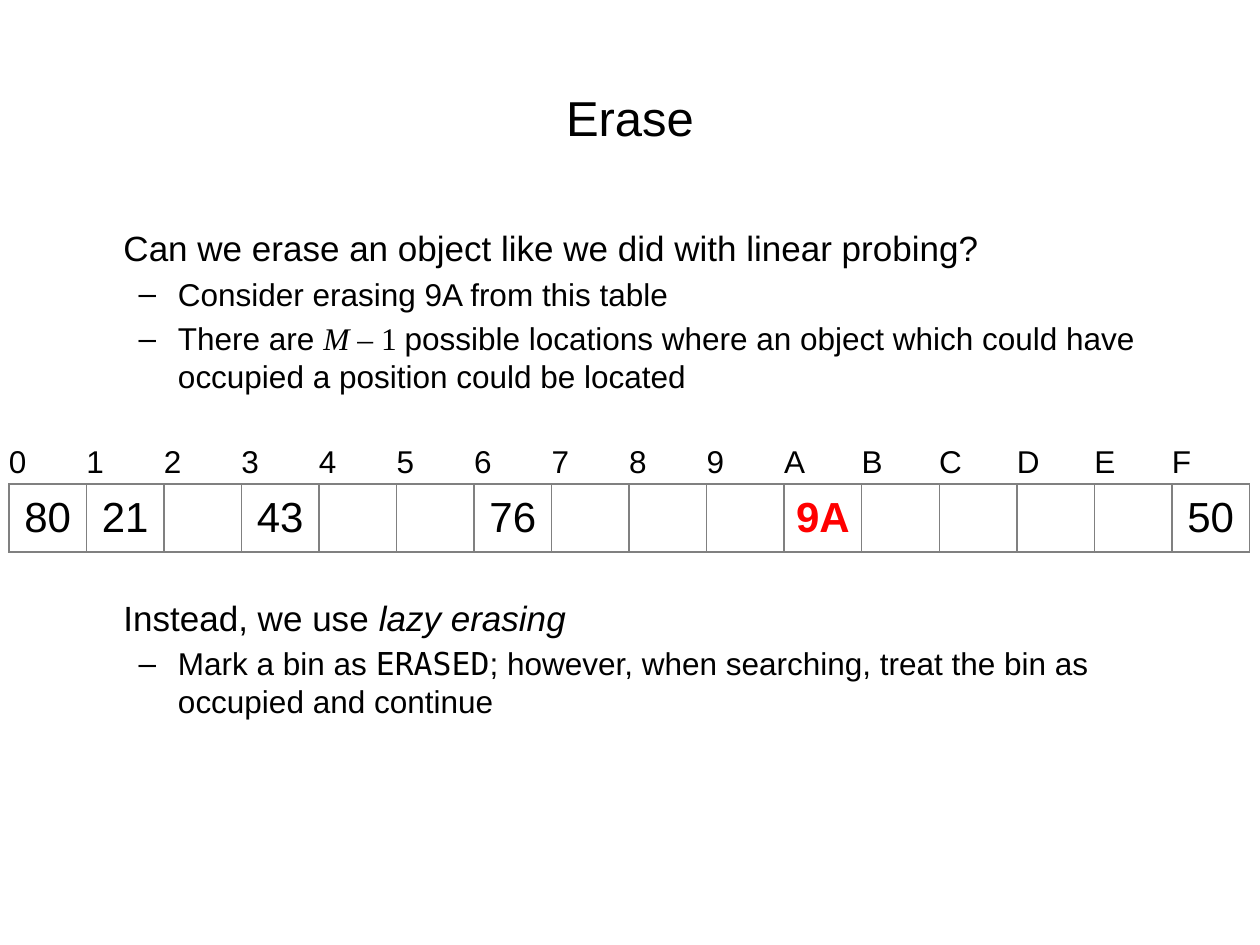
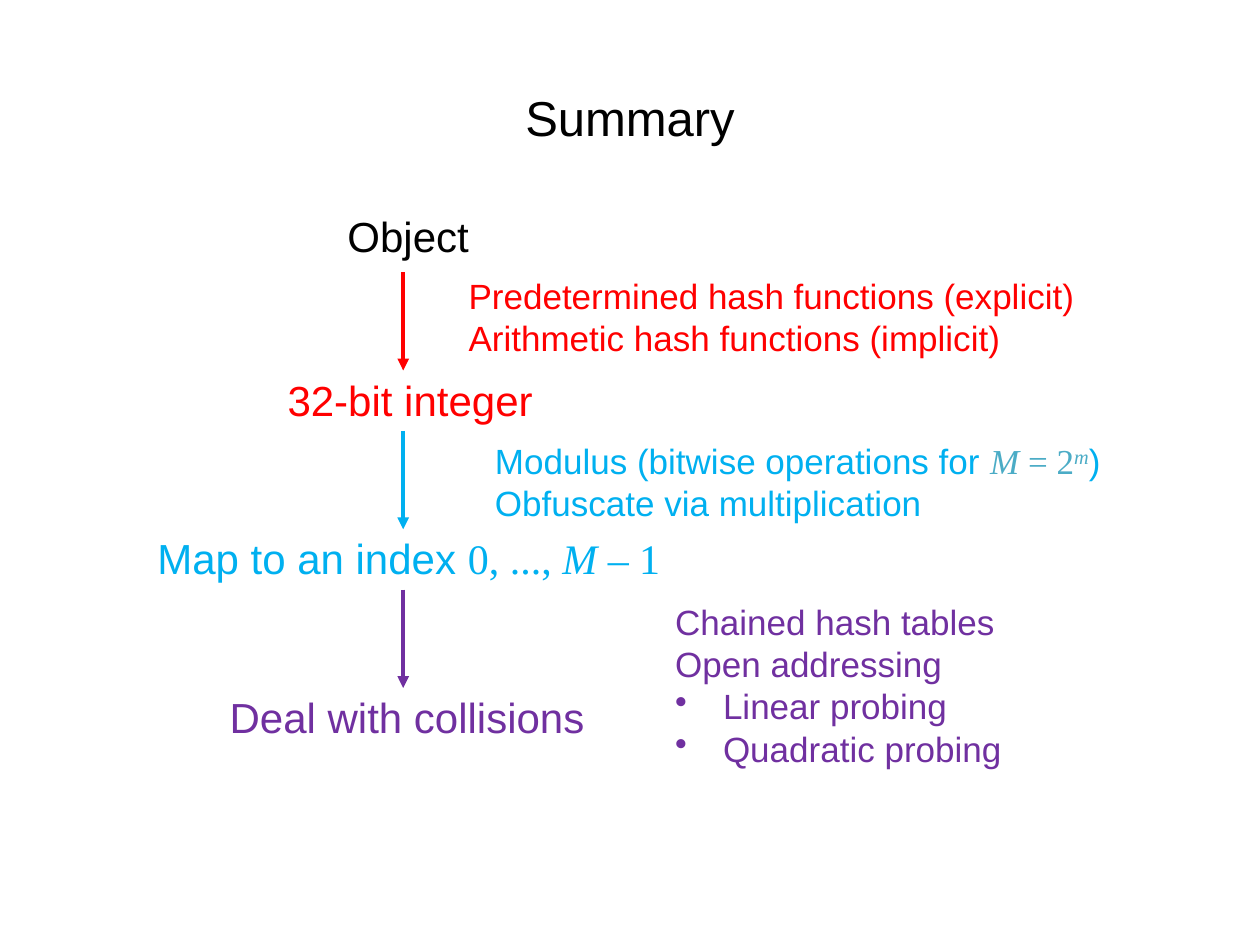
"""Build two slides on hash tables: lazy erasing and a summary."""
import pptx
import pptx.dml.color
import pptx.enum.shapes
import pptx.enum.text
import pptx.oxml
import pptx.oxml.ns
import pptx.util

Inches, Pt = pptx.util.Inches, pptx.util.Pt
Color = pptx.dml.color.RGBColor
Align = pptx.enum.text.PP_ALIGN
Anchor = pptx.enum.text.MSO_ANCHOR
Fit = pptx.enum.text.MSO_AUTO_SIZE
qn = pptx.oxml.ns.qn
NS = pptx.oxml.ns.nsdecls("a")

BLACK = Color(0, 0, 0)
RED = Color(0xFF, 0, 0)
BLUE = Color(0, 0xB0, 0xF0)
TEAL = Color(0x4B, 0xAC, 0xC6)
PURPLE = Color(0x70, 0x30, 0xA0)
GREY = "808080"

ARIAL = {"name": "Arial", "bold": False, "italic": False}
MATH = {"name": "Times New Roman"}
VAR = {**MATH, "italic": True}
CODE = {"name": "DejaVu Sans Mono"}
NO_STYLE = "{2D5ABB26-0587-4C30-8999-92F81FD0307C}"

TITLE_AT = (0.5, 0.3, 9, 1.25)
BODY_AT = (0.5, 1.75, 9, 4.95)
TABLE_AT = (0.07, 3.51, 9.85, 0.87)
ROWS = (0.33, 0.54)
TABLE_GAP = 115

POINTS = [
    (0, 0, ["Can we erase an object like we did with linear probing?"]),
    (1, 0, ["Consider erasing 9A from this table"]),
    (1, 0, ["There are ", ("M ", VAR), ("– 1 ", MATH),
            "possible locations where an object which could have occupied a position could be located"]),
    (0, TABLE_GAP, ["Instead, we use ", ("lazy erasing", {"italic": True})]),
    (1, 0, ["Mark a bin as ", ("ERASED", CODE),
            "; however, when searching, treat the bin as occupied and continue"]),
]
BINS = "0123456789ABCDEF"
KEYS = {"0": "80", "1": "21", "3": "43", "6": "76", "A": "9A", "F": "50"}
ERASED = "A"

STAGES = [
    ((2.66, 1.62, 1.16, 0.5), BLACK, ["Object"]),
    ((2.18, 2.92, 2.15, 0.5), RED, ["32-bit integer"]),
    ((1.06, 4.18, 4.37, 0.51), BLUE,
     ["Map to an index ", ("0, ..., ", MATH), ("M", VAR), (" – 1", MATH)]),
    ((1.72, 5.44, 3.02, 0.5), PURPLE, ["Deal with collisions"]),
]
NOTES = [
    ((3.62, 2.13, 5.05, 0.77), RED,
     [["Predetermined hash functions (explicit)"], ["Arithmetic hash functions (implicit)"]], []),
    ((3.83, 3.44, 5.06, 0.77), BLUE,
     [["Modulus (bitwise operations for ", ("M ", {**VAR, "color": TEAL}),
       ("= 2", {**MATH, "color": TEAL}), ("m", {**VAR, "color": TEAL, "raise": 30}), ")"],
      ["Obfuscate via multiplication"]], []),
    ((5.26, 4.72, 2.81, 1.45), PURPLE,
     [["Chained hash tables"], ["Open addressing"]], [["Linear probing"], ["Quadratic probing"]]),
]
ARROW_X, ARROW_Y, ARROW_LEN, PITCH = 3.2, 2.16, 0.78, 1.26


def place(shape, box):
    for key, val in zip(("left", "top", "width", "height"), box):
        setattr(shape, key, Inches(val))


def write(para, parts, size, color=BLACK):
    for part in parts:
        text, extra = (part, {}) if isinstance(part, str) else part
        look = {**ARIAL, "size": Pt(size), "color": color, **extra}
        run = para.add_run()
        run.text = text
        run.font.color.rgb = look.pop("color")
        lift = look.pop("raise", 0)
        if lift:
            run.font._element.set("baseline", str(lift * 1000))
        for key, val in look.items():
            setattr(run.font, key, val)


def indent(para, left, first, mark):
    props = para._p.get_or_add_pPr()
    props.set("marL", str(Inches(left)))
    props.set("indent", str(Inches(first)))
    props.append(pptx.oxml.parse_xml(mark))


def next_para(frame, index):
    return frame.add_paragraph() if index else frame.paragraphs[0]


def add_slide(deck, layout, title):
    slide = deck.slides.add_slide(deck.slide_layouts[layout])
    place(slide.shapes.title, TITLE_AT)
    frame = slide.shapes.title.text_frame
    frame.vertical_anchor = Anchor.MIDDLE
    frame.paragraphs[0].alignment = Align.CENTER
    write(frame.paragraphs[0], [title], 28)
    return slide


def add_points(slide):
    body = slide.placeholders[1]
    place(body, BODY_AT)
    frame = body.text_frame
    frame.auto_size = Fit.NONE
    for i, (level, gap, parts) in enumerate(POINTS):
        para = next_para(frame, i)
        para.level = level
        if gap:
            para.space_before = Pt(gap)
        if not level:
            indent(para, 0.38, 0, f"<a:buNone {NS}/>")
        write(para, parts, 18 if level else 20)


def border(cell, sides):
    props = cell._tc.get_or_add_tcPr()
    for side in sides:
        props.append(pptx.oxml.parse_xml(
            f'<a:ln{side} {NS} w="{Pt(1)}"><a:solidFill><a:srgbClr val="{GREY}"/>'
            f"</a:solidFill></a:ln{side}>"))


def add_bins(slide):
    box = [Inches(val) for val in TABLE_AT]
    table = slide.shapes.add_table(2, len(BINS), *box).table
    table._tbl.tblPr.find(qn("a:tableStyleId")).text = NO_STYLE
    table.first_row = table.horz_banding = False
    for row, high in zip(table.rows, ROWS):
        row.height = Inches(high)
    for col, name in enumerate(BINS):
        table.columns[col].width = Inches(TABLE_AT[2] / len(BINS))
        head, slot = table.cell(0, col), table.cell(1, col)
        for cell, sides in ((head, "B"), (slot, "LRTB")):
            for side in ("left", "right", "top", "bottom"):
                setattr(cell, f"margin_{side}", 0)
            cell.vertical_anchor = Anchor.MIDDLE
            border(cell, sides)
            cell.fill.background()
        write(head.text_frame.paragraphs[0], [name], 18)
        if name in KEYS:
            para = slot.text_frame.paragraphs[0]
            para.alignment = Align.CENTER
            hot = name == ERASED
            write(para, [(KEYS[name], {"bold": hot})], 24, RED if hot else BLACK)


def add_text(slide, box, lines, size, color, align=Align.LEFT, items=()):
    shape = slide.shapes.add_textbox(*[Inches(val) for val in box])
    frame = shape.text_frame
    frame.word_wrap = False
    frame.auto_size = Fit.SHAPE_TO_FIT_TEXT
    for i, parts in enumerate([*lines, *items]):
        para = next_para(frame, i)
        para.alignment = align
        if i >= len(lines):
            indent(para, 0.38, -0.38, f'<a:buChar {NS} char="•"/>')
        write(para, parts, size, color)


def add_arrow(slide, top, color):
    ends = [Inches(val) for val in (ARROW_X, top, ARROW_X, top + ARROW_LEN)]
    arrow = slide.shapes.add_connector(pptx.enum.shapes.MSO_CONNECTOR.STRAIGHT, *ends)
    arrow.line.color.rgb = color
    arrow.line.width = Pt(2.25)
    arrow.line._get_or_add_ln().append(pptx.oxml.parse_xml(f'<a:tailEnd {NS} type="triangle"/>'))
    arrow._element.spPr.append(pptx.oxml.parse_xml(f"<a:effectLst {NS}/>"))


def main():
    deck = pptx.Presentation()
    deck.slide_width, deck.slide_height = Inches(10), Inches(7.5)

    erase = add_slide(deck, 1, "Erase")
    add_points(erase)
    add_bins(erase)

    recap = add_slide(deck, 5, "Summary")
    for box, color, parts in STAGES:
        add_text(recap, box, [parts], 24, color, Align.CENTER)
    for i, (box, color, lines, items) in enumerate(NOTES):
        add_arrow(recap, ARROW_Y + i * PITCH, color)
        add_text(recap, box, lines, 20, color, items=items)

    deck.save("out.pptx")


if __name__ == "__main__":
    main()
